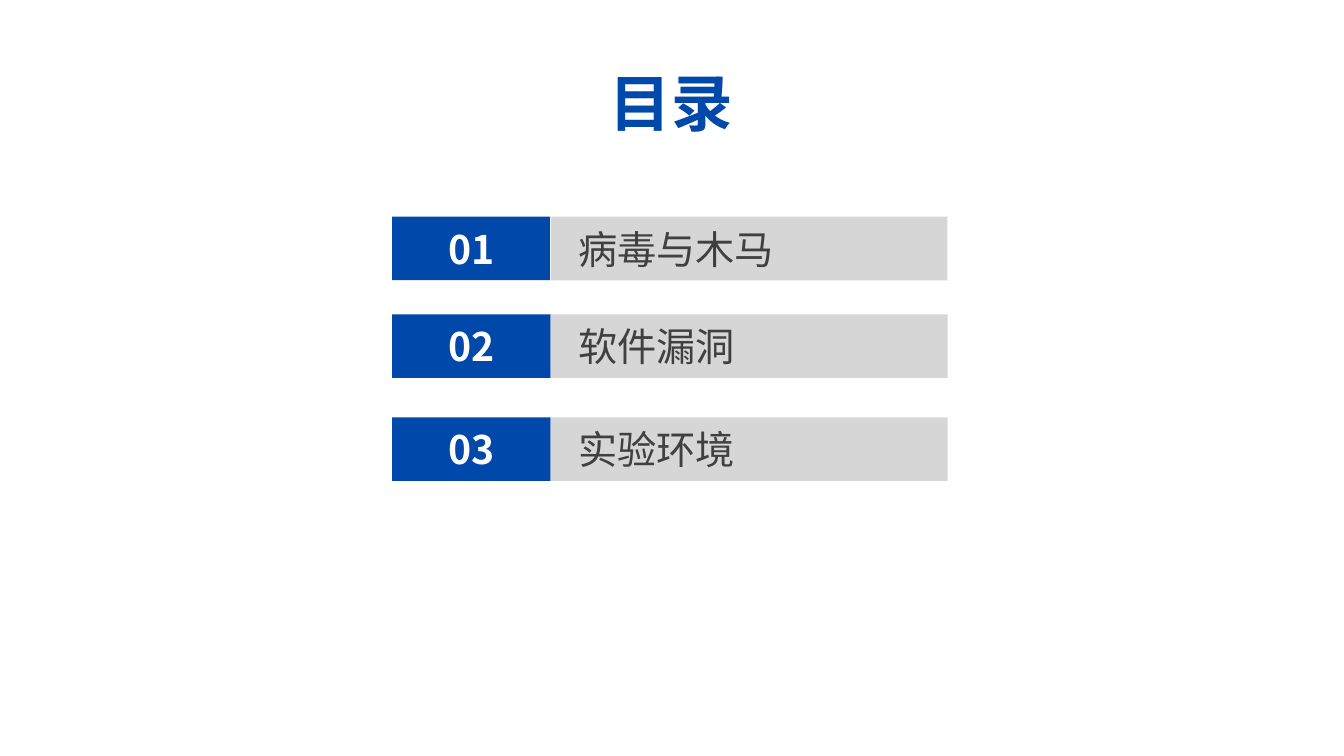
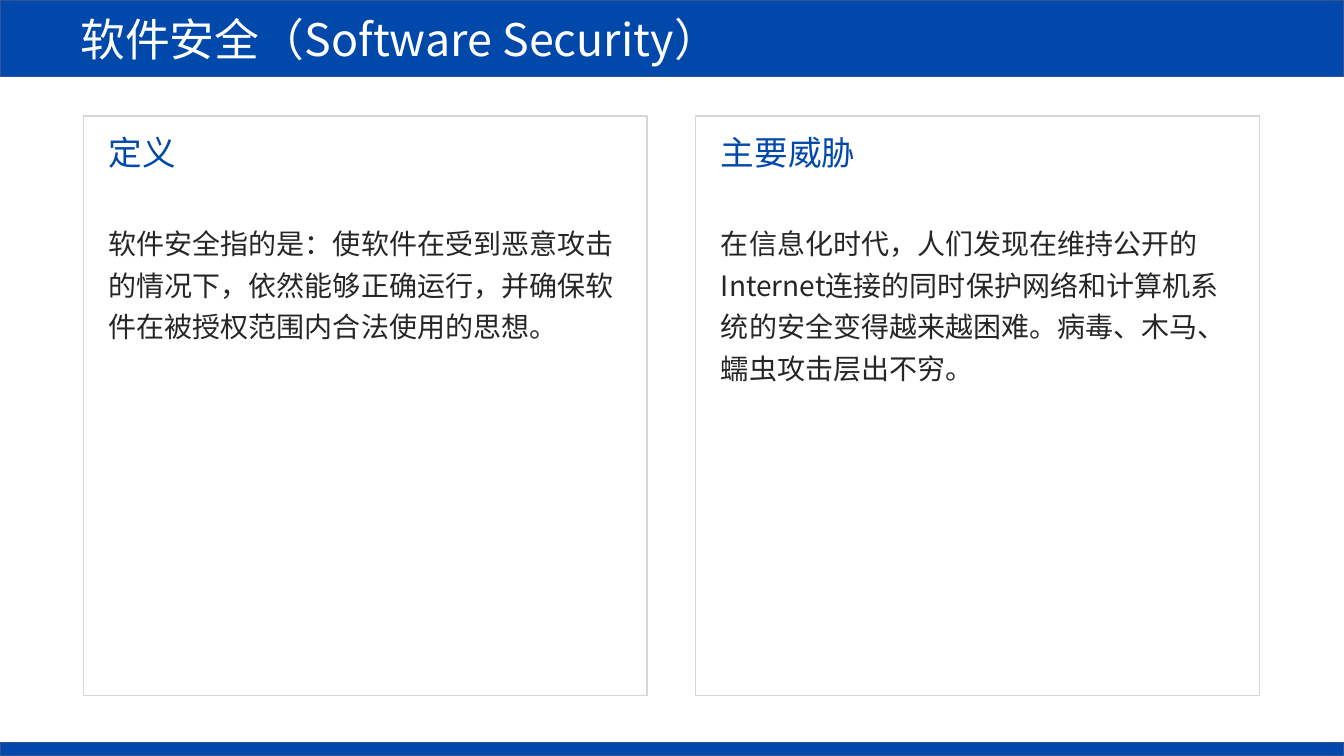
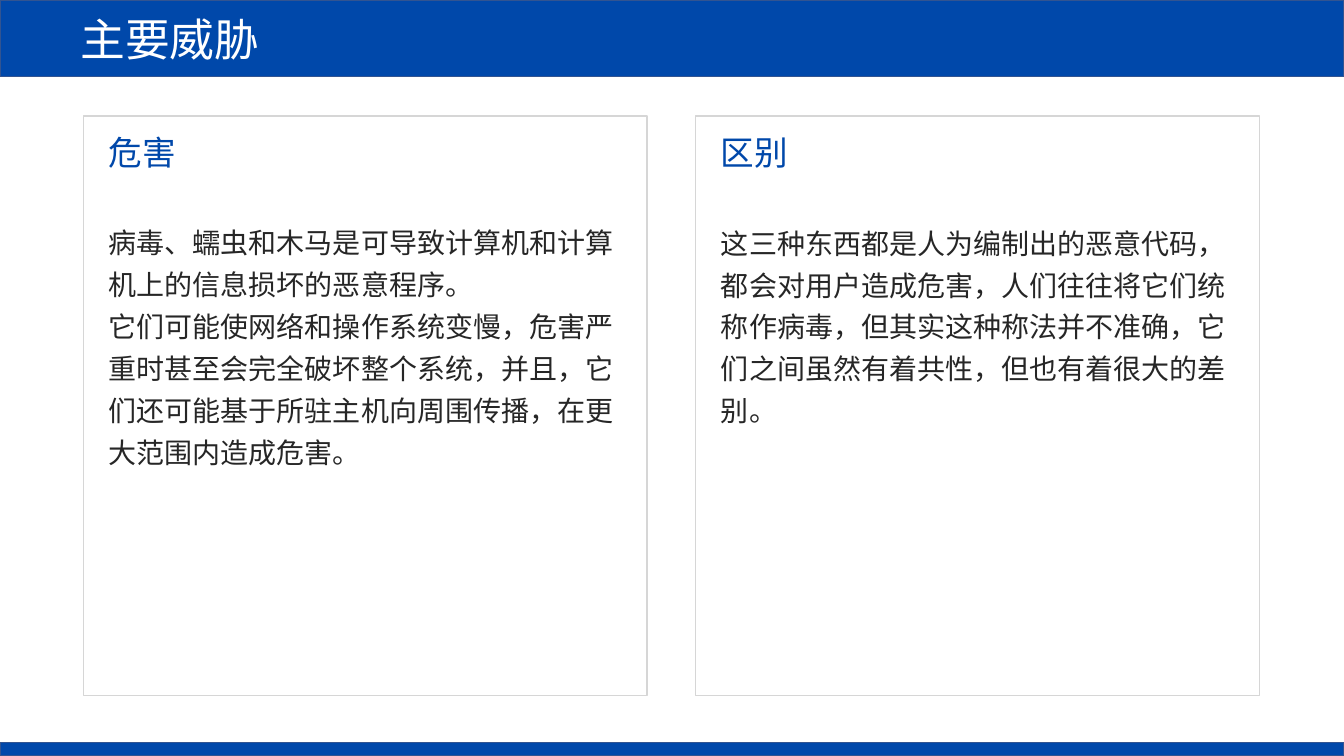
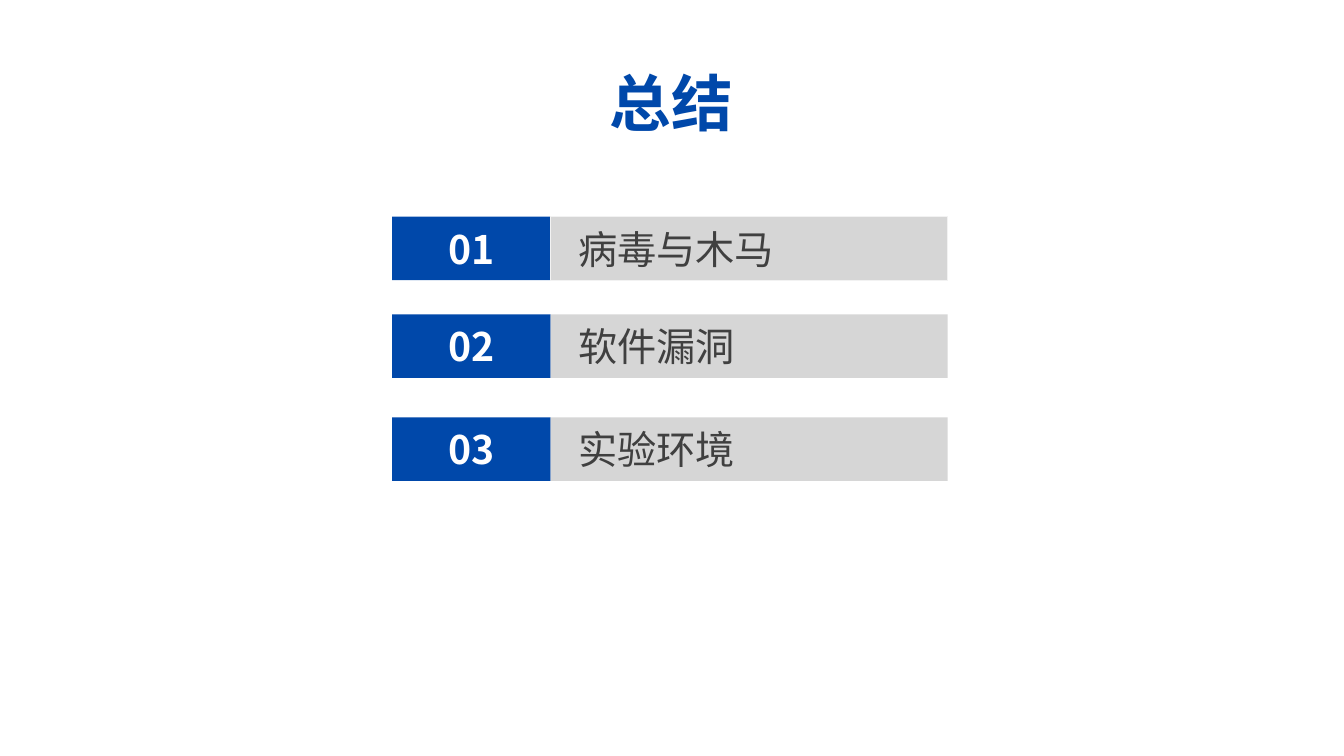
from pptx import Presentation
from pptx.dml.color import RGBColor
from pptx.enum.lang import MSO_LANGUAGE_ID
from pptx.enum.shapes import MSO_SHAPE
from pptx.enum.text import MSO_ANCHOR, MSO_AUTO_SIZE, PP_ALIGN
from pptx.oxml.ns import qn
from pptx.util import Pt

RECT = MSO_SHAPE.RECTANGLE
MIDDLE, TOP = MSO_ANCHOR.MIDDLE, MSO_ANCHOR.TOP
LEFT, CENTER = PP_ALIGN.LEFT, PP_ALIGN.CENTER
GROW = MSO_AUTO_SIZE.SHAPE_TO_FIT_TEXT
CHINESE = MSO_LANGUAGE_ID.SIMPLIFIED_CHINESE

FONT = "Noto Sans CJK SC"
BLUE, NAVY, WHITE = "0048AA", "325491", "FFFFFF"
GREY, PALE = "D6D6D6", "F2F2F2"
DARK, INK = "404040", "262626"

WIDTH, HEIGHT = 960, 540
PAD = 7.2

# Agenda rows: label, top, border of the label bar
ITEMS = [
    ("病毒与木马", 154.8, (PALE, 0.5)),
    ("软件漏洞", 224.6, None),
    ("实验环境", 298.2, None),
]

# Panels: heading, height of the body text, paragraphs
SAFETY = [
    ("定义", 120, [
        "软件安全指的是：使软件在受到恶意攻击的情况下，依然能够正确运行，"
        "并确保软件在被授权范围内合法使用的思想。"]),
    ("主要威胁", 126, [
        "在信息化时代，人们发现在维持公开的Internet连接的同时保护网络和"
        "计算机系统的安全变得越来越困难。病毒、木马、蠕虫攻击层出不穷。"]),
]
THREATS = [
    ("危害", 211, [
        "病毒、蠕虫和木马是可导致计算机和计算机上的信息损坏的恶意程序。",
        "它们可能使网络和操作系统变慢，危害严重时甚至会完全破坏整个系统，"
        "并且，它们还可能基于所驻主机向周围传播，在更大范围内造成危害。"]),
    ("区别", 156, [
        "这三种东西都是人为编制出的恶意代码，都会对用户造成危害，"
        "人们往往将它们统称作病毒，但其实这种称法并不准确，"
        "它们之间虽然有着共性，但也有着很大的差别。"]),
]


def color(code):
    return RGBColor.from_string(code)


def write(frame, lines, size, ink, bold=False, align=LEFT, anchor=TOP,
          inset=PAD, space=None):
    frame.vertical_anchor = anchor
    frame.margin_left = Pt(inset)
    for i, line in enumerate(lines):
        para = frame.add_paragraph() if i else frame.paragraphs[0]
        para.alignment = align
        if space:
            para.line_spacing = space
        run = para.add_run()
        run.text = line
        font = run.font
        font.name, font.size, font.bold = FONT, Pt(size), bold
        font.color.rgb = color(ink)
        font.language_id = CHINESE
        east = font._element.makeelement(qn("a:ea"), {"typeface": FONT})
        font._element.find(qn("a:latin")).addnext(east)


def box(shapes, x, y, w, h, fill=None, line=None):
    shape = shapes.add_shape(RECT, Pt(x), Pt(y), Pt(w), Pt(h))
    shape.shadow.inherit = False
    if fill:
        shape.fill.solid()
        shape.fill.fore_color.rgb = color(fill)
    else:
        shape.fill.background()
    if line:
        shape.line.color.rgb = color(line[0])
        shape.line.width = Pt(line[1])
    else:
        shape.line.fill.background()
    return shape


def text(slide, x, y, w, h, lines, size, ink, wrap=True, **style):
    frame = slide.shapes.add_textbox(Pt(x), Pt(y), Pt(w), Pt(h)).text_frame
    frame.word_wrap = wrap
    frame.auto_size = GROW
    write(frame, lines, size, ink, **style)


def span(label, size):
    """Width of a one-line box of full-width characters."""
    return len(label) * size + 2 * PAD + 1


def agenda(slide, title):
    size, left, tab, bar, high = 44, 280, 113.4, 283.5, 45.4
    wide = span(title, size)
    text(slide, (WIDTH - wide) / 2, 43.2, wide, 60.6, [title], size, BLUE,
         wrap=False, bold=True)
    for num, (label, top, edge) in enumerate(ITEMS, 1):
        row = slide.shapes.add_group_shape().shapes
        mark = box(row, left, top, tab, high, BLUE)
        write(mark.text_frame, [f"{num:02}"], 28, WHITE, bold=True,
              align=CENTER, anchor=MIDDLE)
        name = box(row, left + tab, top, bar, high, GREY, edge)
        write(name.text_frame, [label], 28, DARK, anchor=MIDDLE, inset=19.7)


def panels(slide, title, parts):
    edge = (NAVY, 1)
    head = box(slide.shapes, 0, 0, WIDTH, 54.7, BLUE, edge)
    write(head.text_frame, [title], 32, WHITE, anchor=MIDDLE, inset=57.4)
    foot = 9.6
    box(slide.shapes, 0, HEIGHT - foot, WIDTH, foot, BLUE, edge)

    left, wide, gap, inner = 59.6, 402.6, 34.8, 10.9
    for i, (label, high, lines) in enumerate(parts):
        x = left + i * (wide + gap)
        box(slide.shapes, x, 82.8, wide, 414, line=(GREY, 1))
        text(slide, x + inner, 90.7, span(label, 24), 36.4, [label], 24, BLUE,
             wrap=False)
        text(slide, x + inner, 151.9, wide - 2 * inner - 0.7, high, lines, 20,
             INK, space=1.25)


def main():
    deck = Presentation()
    deck.slide_width, deck.slide_height = Pt(WIDTH), Pt(HEIGHT)
    blank = deck.slide_layouts[6]

    def page():
        return deck.slides.add_slide(blank)

    agenda(page(), "目录")
    panels(page(), "软件安全（Software Security）", SAFETY)
    panels(page(), "主要威胁", THREATS)
    agenda(page(), "总结")
    deck.save("out.pptx")


if __name__ == "__main__":
    main()
